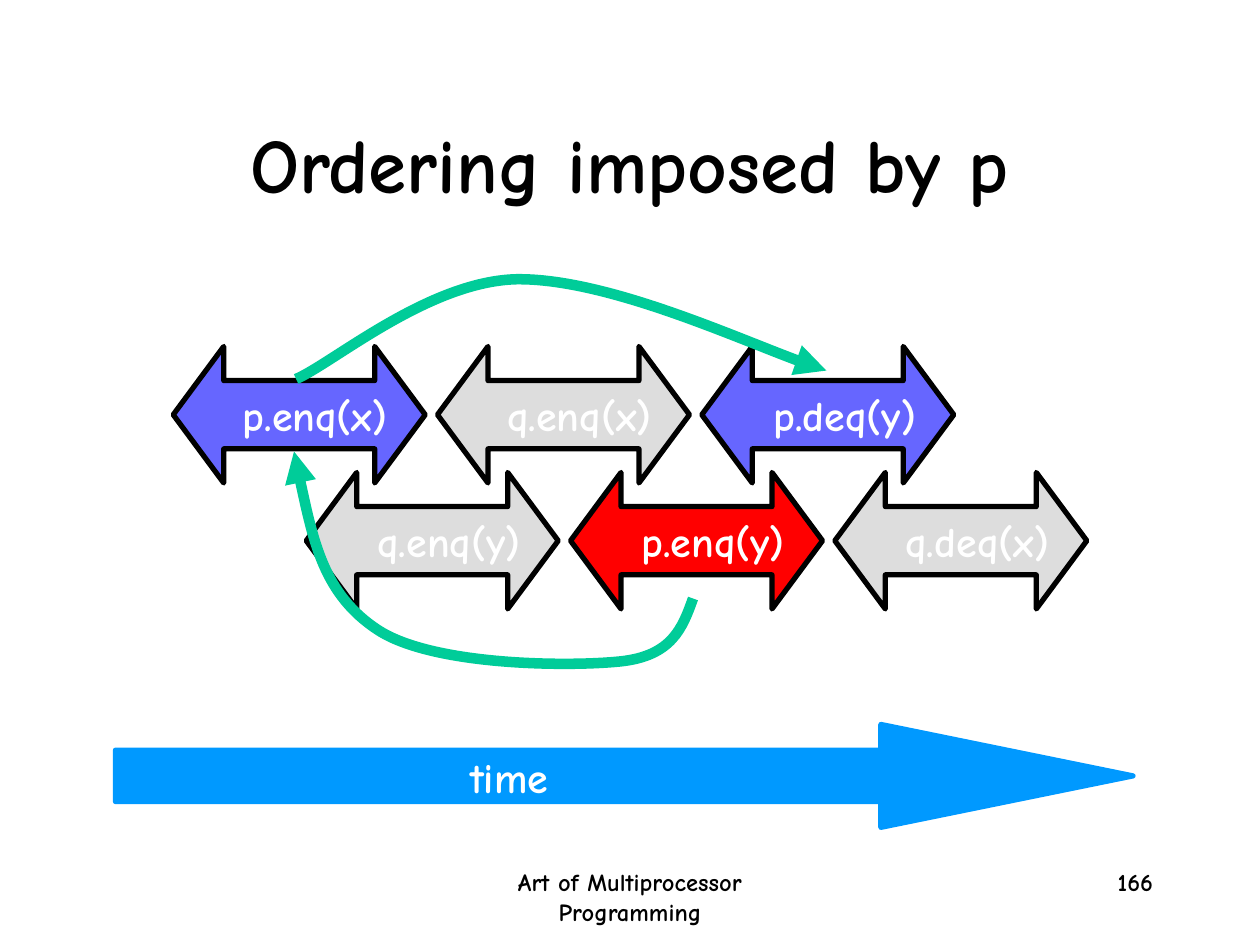
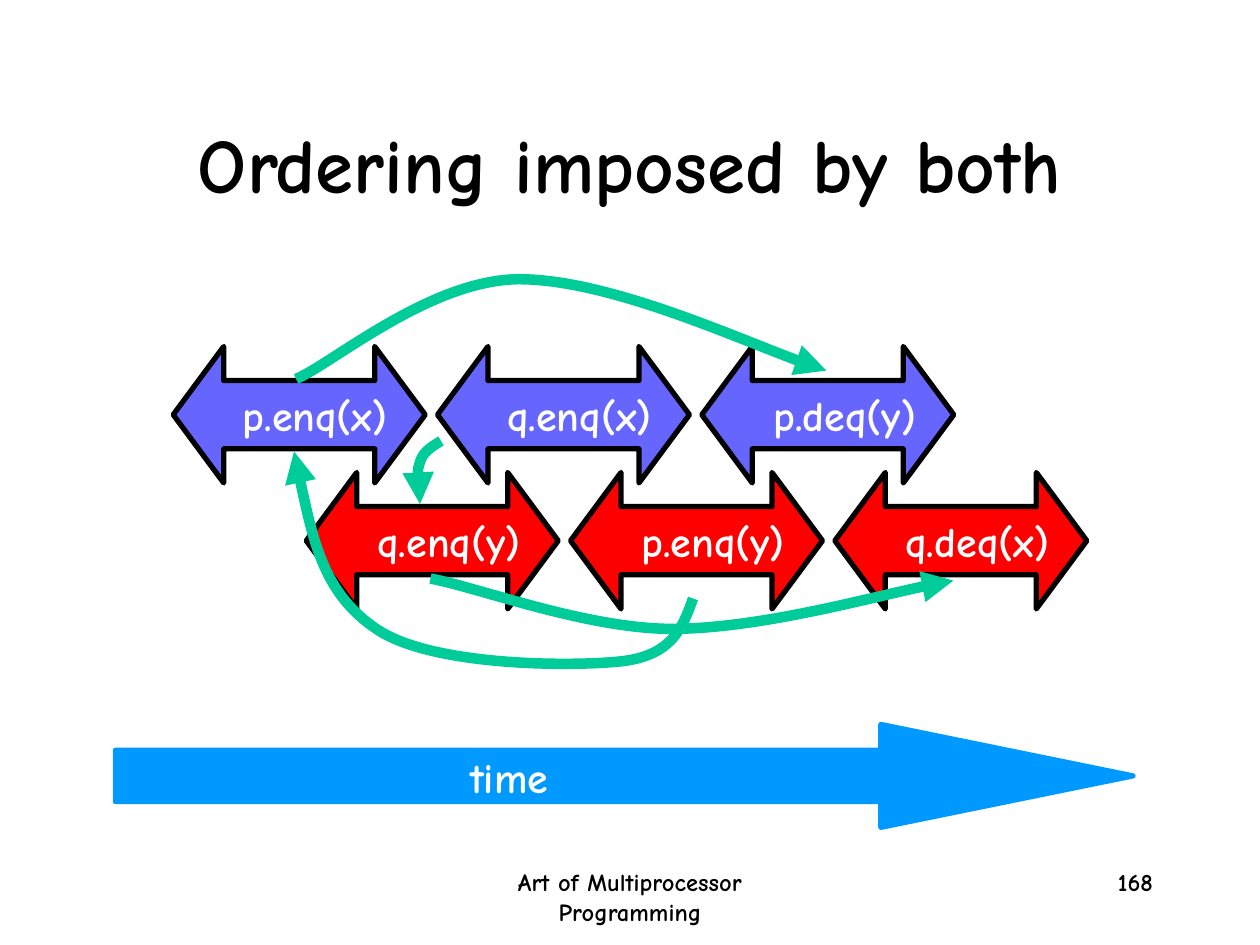
import pptx
import pptx.dml.color
import pptx.enum.shapes
import pptx.enum.text
import pptx.oxml
import pptx.oxml.ns
import pptx.util

RGBColor = pptx.dml.color.RGBColor
Align = pptx.enum.text.PP_ALIGN
Anchor = pptx.enum.text.MSO_ANCHOR
AutoSize = pptx.enum.text.MSO_AUTO_SIZE
Preset = pptx.enum.shapes.MSO_SHAPE

BLACK = RGBColor(0x00, 0x00, 0x00)
WHITE = RGBColor(0xFF, 0xFF, 0xFF)
BLUE = RGBColor(0x66, 0x66, 0xFF)
RED = RGBColor(0xFF, 0x00, 0x00)
GREY = RGBColor(0xDD, 0xDD, 0xDD)
GREEN = RGBColor(0x00, 0xCC, 0x99)
TIME_BLUE = RGBColor(0x00, 0x99, 0xFF)

FONT = "Comic Neue"
COLUMNS, ROWS = 120, 90
TITLE_ONLY = 5

CALL_WIDTH, CALL_HEIGHT, CALL_STEP = 24, 13, 25.17
# Each thread row: left column, top row, active colour, calls in time order
THREADS = [
    (16.5, 33, BLUE, ["p.enq(x)", "q.enq(x)", "p.deq(y)"]),
    (29.17, 45, RED, ["q.enq(y)", "p.enq(y)", "q.deq(x)"]),
]

# Bezier points of each ordering arrow, from the arrowhead back to its start
ENQ_X_BEFORE_DEQ_Y = [(78.7, 35.3), (73.8, 33.8), (57.6, 26.5), (49.2, 26.6),
                      (40.8, 26.8), (31.7, 34.6), (28.2, 36.1)]
P_ENQ_Y_BEFORE_ENQ_X = [(28, 43), (29.4, 49.8), (30.8, 56.6), (36, 60),
                        (41.2, 63.4), (54, 63.5), (59, 63),
                        (64, 62.5), (65, 59.8), (66, 57)]
Q_ENQ_X_BEFORE_ENQ_Y = [(40, 48), (39.8, 46.5), (39.7, 45), (40, 44),
                        (40.3, 43), (41.2, 42.5), (42, 42)]
ENQ_Y_BEFORE_DEQ_X = [(90.8, 55.3), (86.3, 56), (72.1, 59.9), (63.8, 59.9),
                      (55.6, 59.8), (45.7, 56), (41, 55.1)]
P_ORDER = [ENQ_X_BEFORE_DEQ_Y, P_ENQ_Y_BEFORE_ENQ_X]
Q_ORDER = [Q_ENQ_X_BEFORE_ENQ_Y, ENQ_Y_BEFORE_DEQ_X]


def write(box, text, size=24, color=WHITE, align=Align.RIGHT,
          anchor=Anchor.TOP, wrap=False, auto_size=AutoSize.NONE):
    frame = box.text_frame
    frame.word_wrap = wrap
    frame.auto_size = auto_size
    frame.vertical_anchor = anchor
    para = frame.paragraphs[0]
    para.alignment = align
    span = para.add_run()
    span.text = text
    span.font.name = FONT
    span.font.size = pptx.util.Pt(size)
    span.font.bold = True
    span.font.color.rgb = color


class Sketch:
    """Draws on the current slide of a deck, in grid columns and rows."""

    def __init__(self):
        self.deck = pptx.Presentation()
        self.deck.slide_width = pptx.util.Inches(10)
        self.deck.slide_height = pptx.util.Inches(7.5)
        self.page = None

    def point(self, column, row):
        return (round(self.deck.slide_width * column / COLUMNS),
                round(self.deck.slide_height * row / ROWS))

    def area(self, column, row, columns, rows):
        return *self.point(column, row), *self.point(columns, rows)

    def new_page(self, title, number):
        layout = self.deck.slide_layouts[TITLE_ONLY]
        self.page = self.deck.slides.add_slide(layout)
        box = self.page.shapes.title
        box.left, box.top, box.width, box.height = self.area(9, 8, 102, 15)
        write(box, title, size=44, color=BLACK, align=Align.CENTER,
              anchor=Anchor.MIDDLE, wrap=True)
        self.label("Art of Multiprocessor Programming", 41, 82, 38, 6,
                   size=14, color=BLACK, align=Align.CENTER, wrap=True)
        self.label(str(number), 86, 82, 25, 6, size=14, color=BLACK, wrap=True)

    def label(self, text, *place, shapes=None, **style):
        shapes = shapes or self.page.shapes
        write(shapes.add_textbox(*self.area(*place)), text, **style)

    def arrow(self, preset, place, fill, line, head, shapes=None):
        shapes = shapes or self.page.shapes
        shape = shapes.add_shape(preset, *self.area(*place))
        shape.shadow.inherit = False
        shape.adjustments[0] = 0.5
        shape.adjustments[1] = head
        shape.fill.solid()
        shape.fill.fore_color.rgb = fill
        shape.line.color.rgb = line
        shape.line.width = pptx.util.Pt(3)
        return shape

    def call(self, text, column, row, fill):
        place = (column, row, CALL_WIDTH, CALL_HEIGHT)
        shape = self.arrow(Preset.LEFT_RIGHT_ARROW, place, fill, BLACK, 0.37)
        write(shape, text, anchor=Anchor.MIDDLE)

    def time_arrow(self):
        shapes = self.page.shapes.add_group_shape().shapes
        self.arrow(Preset.RIGHT_ARROW, (11, 69, 96.9, 9.8), TIME_BLUE,
                   TIME_BLUE, 2.45, shapes=shapes)
        self.label("time", 43.6, 71, 9.8, 6, shapes=shapes,
                   auto_size=AutoSize.SHAPE_TO_FIT_TEXT)

    def curve(self, grid_points):
        """Draw a Bezier curve with an arrowhead at its first point."""
        start, *rest = [self.point(*spot) for spot in grid_points]
        builder = self.page.shapes.build_freeform(*start)
        builder.add_line_segments(rest, close=False)
        shape = builder.convert_to_shape()
        shape.shadow.inherit = False
        shape.fill.background()
        shape.line.color.rgb = GREEN
        shape.line.width = pptx.util.Pt(6)
        # Every three straight segments become one cubic segment
        segments = shape.element.xpath(".//a:lnTo")
        for first in range(0, len(segments), 3):
            cubic = pptx.oxml.parse_xml(
                f"<a:cubicBezTo {pptx.oxml.ns.nsdecls('a')}/>")
            segments[first].addprevious(cubic)
            for segment in segments[first:first + 3]:
                cubic.append(segment[0])
                segment.getparent().remove(segment)
        outline = shape.element.xpath("./p:spPr/a:ln")[0]
        outline.append(pptx.oxml.parse_xml(
            f"<a:headEnd {pptx.oxml.ns.nsdecls('a')} type='triangle'/>"))

    def history(self, active_objects, curves):
        """Draw both threads, greying the calls on inactive objects."""
        for left, top, color, calls in THREADS:
            for index, text in enumerate(calls):
                fill = color if text[0] in active_objects else GREY
                self.call(text, left + index * CALL_STEP, top, fill)
        for grid_points in curves:
            self.curve(grid_points)
        self.time_arrow()


def main():
    sketch = Sketch()
    sketch.new_page("Ordering imposed by p", 166)
    sketch.history("p", P_ORDER)
    sketch.new_page("Ordering imposed by both", 168)
    sketch.history("pq", Q_ORDER + P_ORDER)
    sketch.deck.save("out.pptx")


if __name__ == "__main__":
    main()
